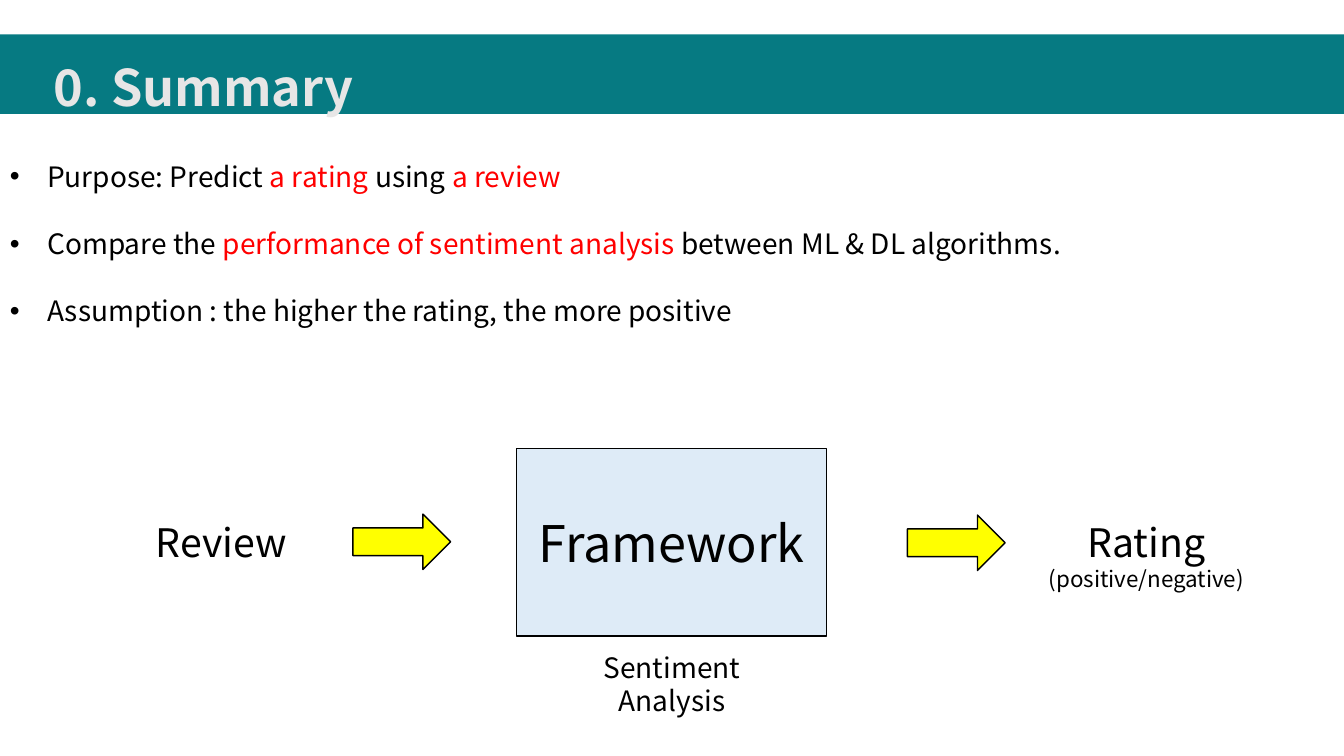
"""Build the summary slide of a sentiment analysis project."""
import pptx
import pptx.dml.color
import pptx.enum.shapes
import pptx.enum.text
import pptx.oxml
import pptx.oxml.ns
import pptx.util

Inches = pptx.util.Inches
RGBColor = pptx.dml.color.RGBColor
Align = pptx.enum.text.PP_ALIGN
Anchor = pptx.enum.text.MSO_ANCHOR
ShapeType = pptx.enum.shapes.MSO_SHAPE

FONT = "Noto Sans CJK KR"
BLACK = RGBColor(0x00, 0x00, 0x00)
RED = RGBColor(0xFF, 0x00, 0x00)
TEAL = RGBColor(0x06, 0x7A, 0x82)
LIGHT_GRAY = RGBColor(0xE7, 0xE6, 0xE6)
PALE_BLUE = RGBColor(0xDE, 0xEB, 0xF7)
YELLOW = RGBColor(0xFF, 0xFF, 0x00)

BULLETS = [
    [("Purpose: Predict ", BLACK), ("a rating ", RED), ("using ", BLACK), ("a review", RED)],
    [("Compare the ", BLACK), ("performance of sentiment analysis", RED),
     (" between ML & DL algorithms.", BLACK)],
    [("Assumption : the higher the rating, the more positive", BLACK)],
]
ARROWS = [(3.5, 5.1), (9, 5.11)]
LABELS = [
    ((1.31, 5.09, 1.77, 0.57), [("Review", 28)]),
    ((10.07, 5.09, 2.6, 0.84), [("Rating", 28), ("(positive/negative)", 16)]),
    ((5.78, 6.4, 1.77, 0.77), [("Sentiment Analysis", 20)]),
]


def add_text(paragraph, text, size=20, color=BLACK, bold=False, align=Align.LEFT, spacing=1.0):
    paragraph.alignment = align
    paragraph.line_spacing = spacing
    run = paragraph.add_run()
    run.text = text
    run.font.name = FONT
    run.font.size = pptx.util.Pt(size)
    run.font.color.rgb = color
    run.font.bold = bold


def add_bullet(paragraph, indent=Inches(0.37)):
    properties = paragraph._p.get_or_add_pPr()
    properties.set("marL", str(indent))
    properties.set("indent", str(-indent))
    namespace = pptx.oxml.ns.nsdecls("a")
    for markup in (
        f'<a:buClr {namespace}><a:srgbClr val="{BLACK}"/></a:buClr>',
        f'<a:buFont {namespace} typeface="Arial"/>',
        f'<a:buChar {namespace} char="•"/>',
    ):
        properties.append(pptx.oxml.parse_xml(markup))


def next_paragraph(frame, index):
    return frame.add_paragraph() if index else frame.paragraphs[0]


class SlideBuilder:
    def __init__(self, presentation):
        self.slide = presentation.slides.add_slide(presentation.slide_layouts[5])
        self.shapes = self.slide.shapes

    def add_title(self, text, box):
        title = self.shapes.title
        title.left, title.top, title.width, title.height = map(Inches, box)
        frame = title.text_frame
        frame.word_wrap = False
        frame.margin_right = 0
        frame.auto_size = pptx.enum.text.MSO_AUTO_SIZE.NONE
        frame.vertical_anchor = Anchor.TOP
        add_text(frame.paragraphs[0], text, size=36, color=LIGHT_GRAY, bold=True, spacing=1.5)

    def add_shape(self, kind, box, fill, outlined=True):
        shape = self.shapes.add_shape(kind, *map(Inches, box))
        shape.shadow.inherit = False
        shape.fill.solid()
        shape.fill.fore_color.rgb = fill
        if outlined:
            shape.line.color.rgb = BLACK
            shape.line.width = pptx.util.Pt(1)
        else:
            shape.line.fill.background()
        return shape

    def add_banner(self, box):
        banner = self.add_shape(ShapeType.RECTANGLE, box, TEAL, outlined=False)
        self.shapes.title._element.addprevious(banner._element)

    def add_box(self, text, box):
        frame = self.add_shape(ShapeType.RECTANGLE, box, PALE_BLUE).text_frame
        frame.vertical_anchor = Anchor.MIDDLE
        add_text(frame.paragraphs[0], text, size=36, align=Align.CENTER)

    def add_frame(self, box):
        frame = self.shapes.add_textbox(*map(Inches, box)).text_frame
        frame.word_wrap = True
        return frame

    def add_bullets(self, bullets, box):
        frame = self.add_frame(box)
        for index, pieces in enumerate(bullets):
            paragraph = next_paragraph(frame, index)
            for text, color in pieces:
                add_text(paragraph, text, color=color, spacing=2.0)
            add_bullet(paragraph)

    def add_label(self, lines, box):
        frame = self.add_frame(box)
        for index, (text, size) in enumerate(lines):
            add_text(next_paragraph(frame, index), text, size=size, align=Align.CENTER)


def main():
    presentation = pptx.Presentation()
    presentation.slide_width = Inches(13.33)
    presentation.slide_height = Inches(7.5)
    builder = SlideBuilder(presentation)
    builder.add_title("0. Summary", (0.43, 0.21, 3.3, 0.92))
    builder.add_banner((0, 0.34, 13.33, 0.79))
    builder.add_bullets(BULLETS, (0, 1.2, 13.33, 6.3))
    builder.add_box("Framework", (5.12, 4.45, 3.08, 1.86))
    for left, top in ARROWS:
        builder.add_shape(ShapeType.RIGHT_ARROW, (left, top, 0.97, 0.55), YELLOW)
    for box, lines in LABELS:
        builder.add_label(lines, box)
    presentation.save("out.pptx")


if __name__ == "__main__":
    main()
